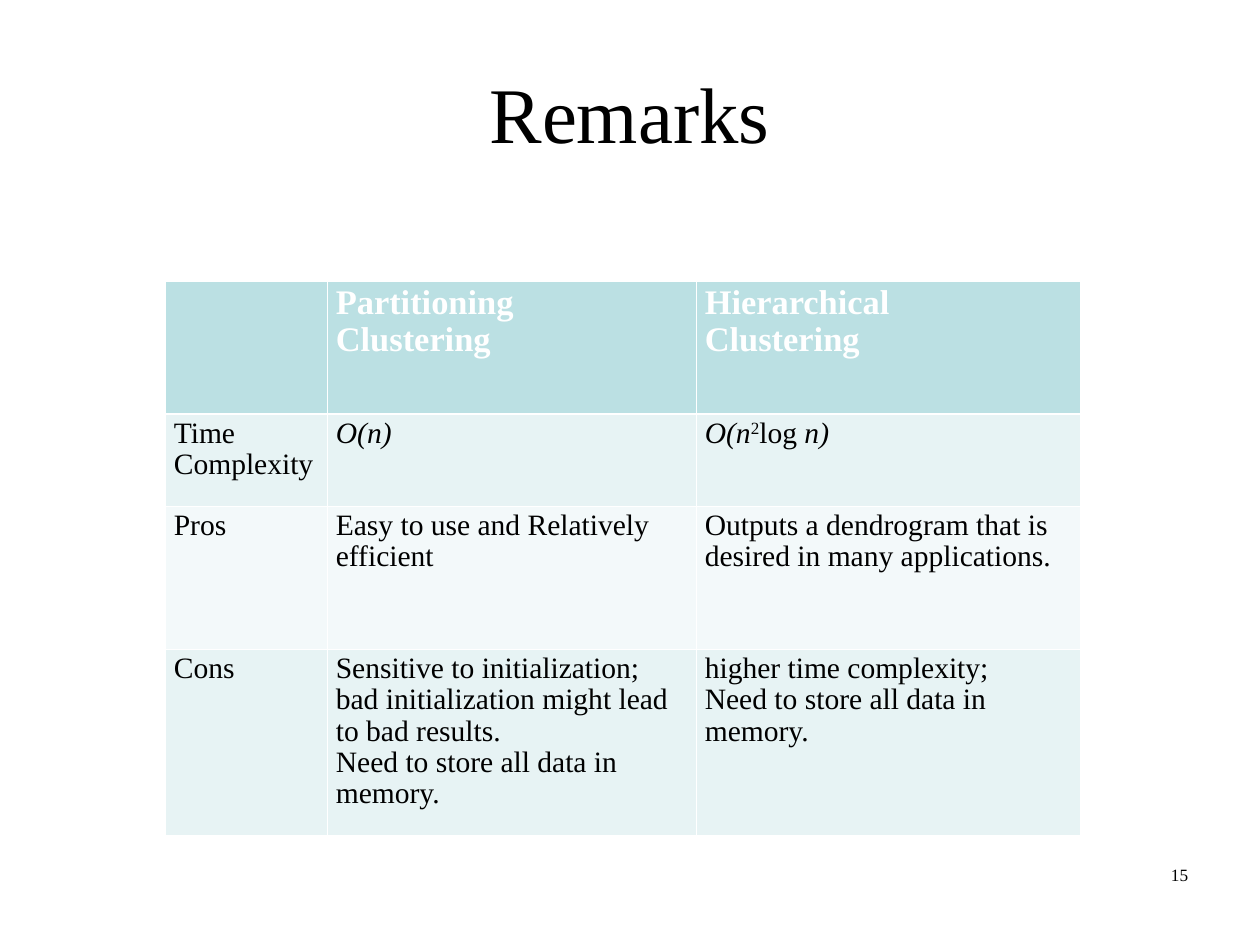
from lxml.etree import SubElement
from pptx import Presentation
from pptx.dml.color import RGBColor
from pptx.enum.text import MSO_ANCHOR, PP_ALIGN
from pptx.oxml.ns import qn
from pptx.util import Pt

PX = 914400 / 88.6
FONT = "Times New Roman"
COLORS = {"ink": "000000", "white": "FFFFFF", "head": "BBE0E3",
          "dark": "E7F3F4", "light": "F3F9FA"}

COLS = [162, 369, 384]
ROWS = [133, 92, 143, 186]
FILLS = ["head", "dark", "light", "dark"]
# Each line of a cell is a string, or a list of (text, style) pieces
CELLS = [
    [[], ["Partitioning", "Clustering"], ["Hierarchical", "Clustering"]],
    [["Time Complexity"],
     [[("O(n)", "italic")]],
     [[("O(n", "italic"), ("2", "super"), ("log ", ""), ("n)", "italic")]]],
    [["Pros"],
     ["Easy to use and Relatively efficient"],
     ["Outputs a dendrogram that is desired in many applications."]],
    [["Cons"],
     ["Sensitive to initialization; bad initialization might lead to bad results.",
      "Need to store all data in memory."],
     ["higher time complexity;", "Need to store all data in memory."]],
]


def emu(px):
    return round(px * PX)


def rgb(name):
    return RGBColor.from_string(COLORS[name])


def style(font, size, color, bold=False):
    font.name = FONT
    font.size = Pt(size)
    font.bold = bold
    font.color.rgb = rgb(color)


def add_label(slide, box, text, size, align, anchor):
    shape = slide.shapes.add_textbox(*map(emu, box))
    frame = shape.text_frame
    frame.word_wrap = True
    frame.vertical_anchor = anchor
    frame.text = text
    line = frame.paragraphs[0]
    line.alignment = align
    style(line.runs[0].font, size, "ink")


def add_edges(cell, row):
    props = cell._tc.get_or_add_tcPr()
    # The rule below the header is the heavy one
    heavy = {0: "lnB", 1: "lnT"}.get(row)
    for side in ("lnL", "lnR", "lnT", "lnB"):
        width = Pt(1.47 if side == heavy else 0.45)
        edge = SubElement(props, qn("a:" + side), w=str(width))
        fill = SubElement(edge, qn("a:solidFill"))
        SubElement(fill, qn("a:srgbClr"), val=COLORS["white"])


def fill_cell(cell, lines, head):
    frame = cell.text_frame
    for i, pieces in enumerate(lines):
        line = frame.add_paragraph() if i else frame.paragraphs[0]
        line.line_spacing = 0.96
        if isinstance(pieces, str):
            pieces = [(pieces, "")]
        for text, kind in pieces:
            run = line.add_run()
            run.text = text
            style(run.font, 28 if head else 24,
                  "white" if head else "ink", head)
            run.font.italic = kind == "italic"
            if kind == "super":
                run._r.get_or_add_rPr().set("baseline", "30000")


def add_grid(slide, left, top):
    box = (left, top, sum(COLS), sum(ROWS))
    frame = slide.shapes.add_table(len(ROWS), len(COLS), *map(emu, box))
    table = frame.table
    table.first_row = False
    table.horz_banding = False
    for col, width in zip(table.columns, COLS):
        col.width = emu(width)
    for r, height in enumerate(ROWS):
        table.rows[r].height = emu(height)
        for c, lines in enumerate(CELLS[r]):
            cell = table.cell(r, c)
            add_edges(cell, r)
            cell.fill.solid()
            cell.fill.fore_color.rgb = rgb(FILLS[r])
            fill_cell(cell, lines, r == 0)


def main():
    deck = Presentation()
    deck.slide_width = emu(1260)
    deck.slide_height = emu(945)
    slide = deck.slides.add_slide(deck.slide_layouts[6])
    # Title
    add_label(slide, (96, 57, 1067, 111), "Remarks", 64,
              PP_ALIGN.CENTER, MSO_ANCHOR.MIDDLE)
    # Comparison table
    add_grid(slide, 165, 281)
    # Page number
    add_label(slide, (903, 860, 294, 66), "15", 14,
              PP_ALIGN.RIGHT, MSO_ANCHOR.TOP)
    deck.save("out.pptx")


if __name__ == "__main__":
    main()
